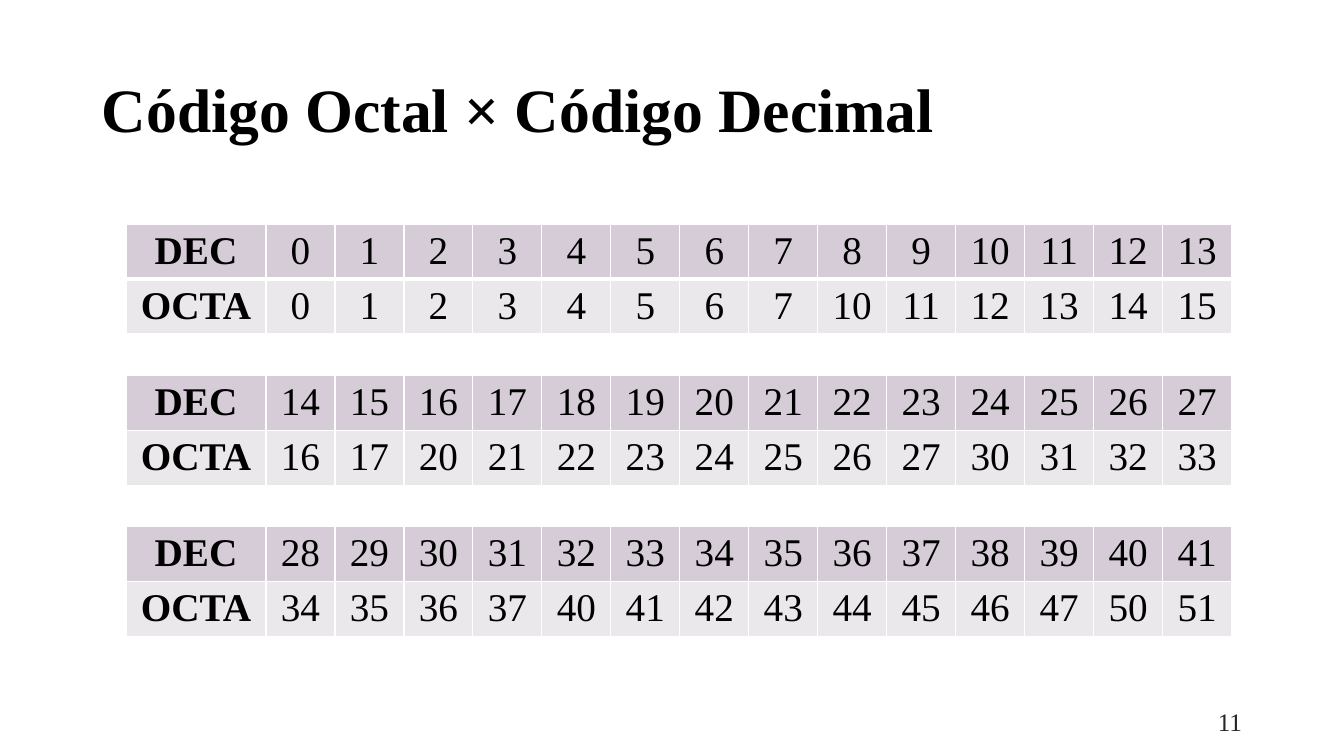
from lxml.etree import SubElement
from pptx import Presentation
from pptx.dml.color import RGBColor as RGB
from pptx.enum.text import MSO_ANCHOR as ANCHOR, PP_ALIGN as ALIGN
from pptx.oxml.ns import qn
from pptx.util import Pt

# Content
TITLE = "Código Octal × Código Decimal"
PAGE = "11"
PER_BLOCK = 14
BLOCKS = 3
FONT = "Times New Roman"
COLORS = {"text": "000000", "page": "262626", "dec": "D5CCD7",
          "octa": "EBE8EC", "line": "FFFFFF"}

# Layout in px
SCALE = 12192000 / 1344
TABLE_X, TABLE_Y = 126, 224
LABEL_W, NUMBER_W = 140, 69
ROW_H, GAP_H = 53, 41


def px(n):
    return round(n * SCALE)


def style(p, size, color, align, bold=False):
    p.alignment = align
    p.font.name, p.font.size, p.font.bold = FONT, Pt(size), bold
    p.font.color.rgb = RGB.from_string(COLORS[color])


def add_text(s, box, text, size, color, align, bold=False):
    tf = s.shapes.add_textbox(*map(px, box)).text_frame
    tf.word_wrap = True
    tf.vertical_anchor = ANCHOR.MIDDLE
    p = tf.paragraphs[0]
    p.text = text
    style(p, size, color, align, bold)
    return p


def add_borders(cell, top, bottom):
    tcPr = cell._tc.get_or_add_tcPr()
    for side, width in (("L", 1), ("R", 1), ("T", top), ("B", bottom)):
        ln = SubElement(tcPr, qn(f"a:ln{side}"), w=str(Pt(width)))
        fill = SubElement(ln, qn("a:solidFill"))
        SubElement(fill, qn("a:srgbClr"), val=COLORS["line"])


def fill_cell(cell, text, color, bold, top, bottom):
    add_borders(cell, top, bottom)
    cell.fill.solid()
    cell.fill.fore_color.rgb = RGB.from_string(COLORS[color])
    cell.margin_top = cell.margin_bottom = px(4)
    cell.vertical_anchor = ANCHOR.MIDDLE
    p = cell.text_frame.paragraphs[0]
    p.text = text
    style(p, 28, "text", ALIGN.CENTER, bold)


# Rows: a DEC and OCTA pair per block, with an empty row between blocks
rows = []
for block in range(BLOCKS):
    numbers = range(block * PER_BLOCK, (block + 1) * PER_BLOCK)
    if block:
        rows.append(None)
    rows.append(["DEC"] + [f"{n}" for n in numbers])
    rows.append(["OCTA"] + [f"{n:o}" for n in numbers])
widths = [LABEL_W] + [NUMBER_W] * PER_BLOCK
heights = [ROW_H if row else GAP_H for row in rows]

prs = Presentation()
prs.slide_width, prs.slide_height = px(1344), px(756)
s = prs.slides.add_slide(prs.slide_layouts[6])

# Title
title = add_text(s, (92, 40, 1160, 146), TITLE, 44, "text", ALIGN.LEFT, True)
title.line_spacing = 0.9

# Conversion table
table = s.shapes.add_table(len(rows), len(widths), px(TABLE_X), px(TABLE_Y),
                           px(sum(widths)), px(sum(heights))).table
table.first_row = table.horz_banding = False
for column, width in zip(table.columns, widths):
    column.width = px(width)
for i, (row, height) in enumerate(zip(rows, heights)):
    table.rows[i].height = px(height)
    for j in range(len(widths)):
        cell = table.cell(i, j)
        if row:
            fill_cell(cell, row[j], row[0].lower(), j == 0,
                      3 if i == 1 else 1, 3 if i == 0 else 1)
        else:
            cell.fill.background()

# Page number
add_text(s, (950, 701, 302, 40), PAGE, 18, "page", ALIGN.RIGHT)

prs.save("out.pptx")
